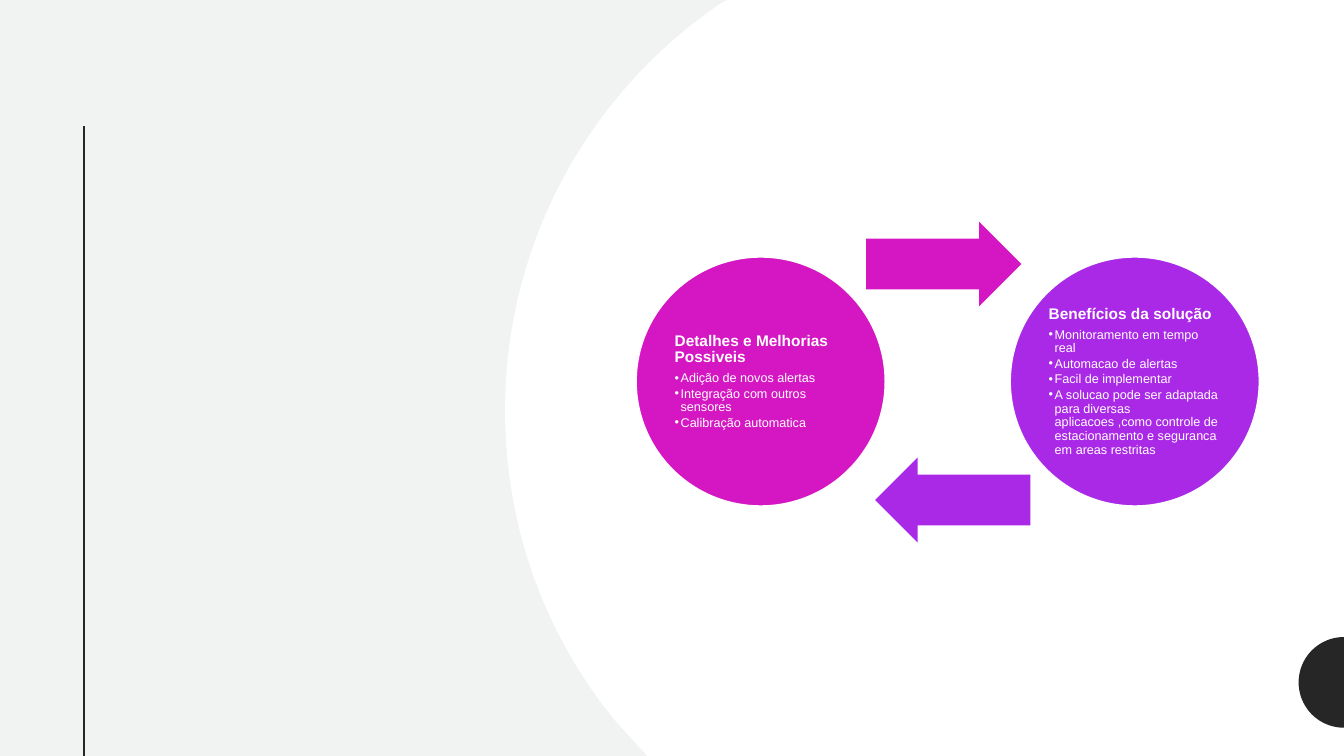
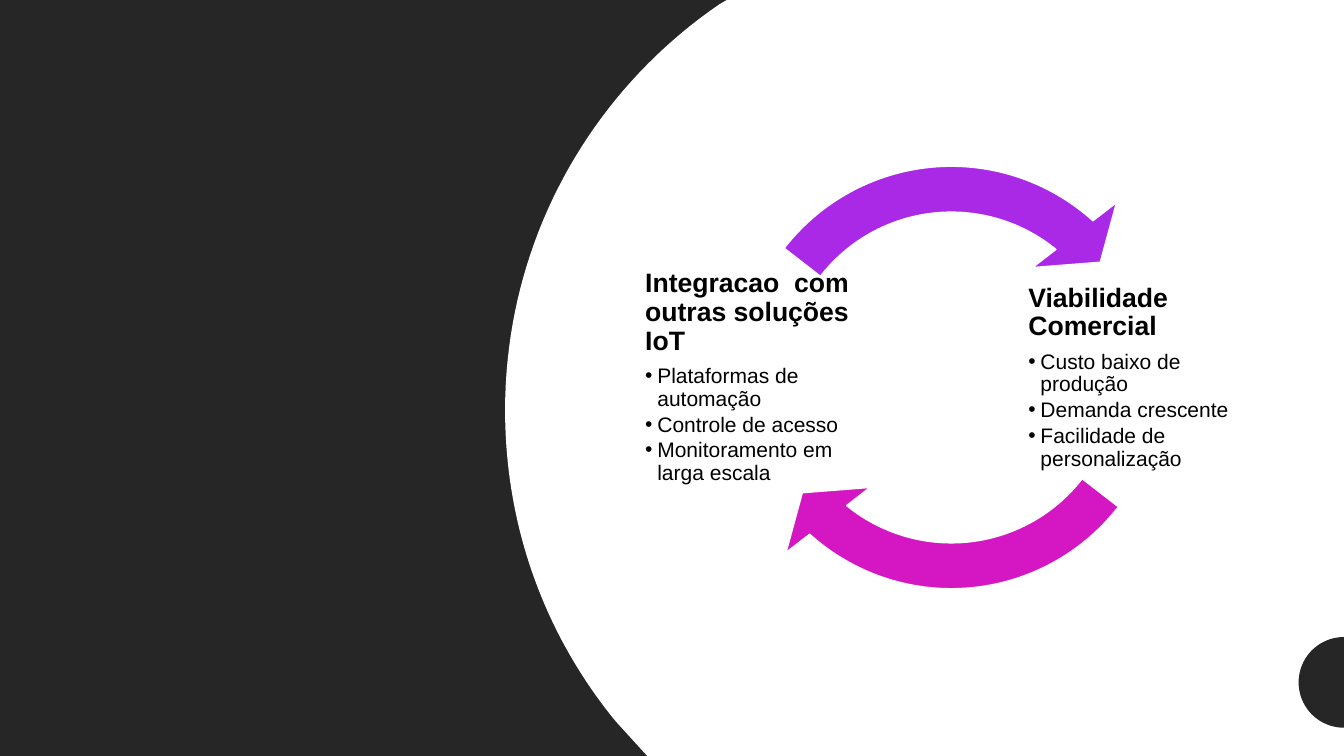
from math import cos, pi, sin

from lxml.etree import SubElement
from pptx import Presentation
from pptx.dml.color import RGBColor
from pptx.enum.shapes import MSO_CONNECTOR as Connector, MSO_SHAPE as Preset
from pptx.enum.text import MSO_ANCHOR as Anchor, PP_ALIGN as Align
from pptx.oxml.ns import qn
from pptx.util import Inches, Pt

WIDTH, HEIGHT = 13.33, 7.5
FONT = "Arial"
DARK, PALE, WHITE, BLACK = "262626", "F0F3F2", "FFFFFF", "000000"
MAGENTA, PURPLE = "D517C3", "AA29E7"

# Left rim of the white area, as cubic curves: start, two handles, end
RIM_CURVES = [
    ((6.11, 7.16), (5.42, 6.32), (5.01, 5.25), (5.01, 4.07)),
    ((5.01, 4.07), (5.01, 2.4), (5.85, 0.92), (7.14, 0.04)),
]
TAB_CENTRE_Y, TAB_RADIUS = 6.77, 0.45

IMPROVEMENTS = ("Detalhes e Melhorias Possiveis", [
    "Adição de novos alertas",
    "Integração com outros sensores",
    "Calibração automatica",
])
BENEFITS = ("Benefícios da solução", [
    "Monitoramento em tempo real",
    "Automacao de alertas",
    "Facil de implementar",
    "A solucao pode ser adaptada para diversas aplicacoes ,como controle de "
    "estacionamento e seguranca em areas restritas",
])
INTEGRATION = ("Integracao  com outras soluções IoT", [
    "Plataformas de automação",
    "Controle de acesso",
    "Monitoramento em larga escala",
])
VIABILITY = ("Viabilidade Comercial", [
    "Custo baixo de produção",
    "Demanda crescente",
    "Facilidade de personalização",
])

# Circle left, colour, text; arrow left, top, rotation
CIRCLE_STEPS = [
    (6.31, MAGENTA, IMPROVEMENTS, 8.59, 2.2, 0),
    (10.02, PURPLE, BENEFITS, 8.68, 4.54, 180),
]
# Text left, text; arrow colour, half turns of the arrow
CYCLE_STEPS = [
    (10.17, VIABILITY, MAGENTA, 0),
    (6.37, INTEGRATION, PURPLE, 1),
]
CIRCLE_TEXT = {"sizes": (11, 9), "color": WHITE, "inset": 0.02, "indent": 0.06}
CYCLE_TEXT = {"sizes": (19, 15), "color": BLACK, "inset": 0.03, "indent": 0.12}


def rgb(value):
    return RGBColor.from_string(value)


def paint(shape, fill, line=None):
    shape.shadow.inherit = False
    shape.fill.solid()
    shape.fill.fore_color.rgb = rgb(fill)
    if line:
        shape.line.color.rgb = rgb(line)
        shape.line.width = Pt(1)
    else:
        shape.line.fill.background()


def add_preset(page, preset, bounds, fill, line=None):
    shape = page.shapes.add_shape(preset, *map(Inches, bounds))
    paint(shape, fill, line)
    return shape


def set_adjustments(shape, values):
    for index, value in enumerate(values):
        shape.adjustments[index] = value


def add_outline(page, points, fill):
    start, *others = [(Inches(x), Inches(y)) for x, y in points]
    builder = page.shapes.build_freeform(*start)
    builder.add_line_segments(others, close=True)
    paint(builder.convert_to_shape(), fill)


def curve_points(start, first, second, end, steps=40):
    """Points along a cubic curve."""
    points = []
    for step in range(steps + 1):
        t = step / steps
        weights = ((1 - t) ** 3, 3 * t * (1 - t) ** 2, 3 * t * t * (1 - t), t ** 3)
        points.append(tuple(
            sum(weight * value for weight, value in zip(weights, axis))
            for axis in zip(start, first, second, end)))
    return points


def add_side_line(page):
    line = page.shapes.add_connector(
        Connector.STRAIGHT, Inches(0.83), Inches(1.25), Inches(0.83), Inches(HEIGHT))
    line.line.color.rgb = rgb(DARK)
    line.line.width = Pt(1.5)
    SubElement(line._element.spPr, qn("a:effectLst"))


def add_page(deck, background):
    """Add a page with the side line, the white area and the half-round tab."""
    page = deck.slides.add_slide(deck.slide_layouts[6])
    page.background.fill.solid()
    page.background.fill.fore_color.rgb = rgb(background)
    add_side_line(page)
    rim = [point for curve in RIM_CURVES for point in curve_points(*curve)]
    corners = [(7.21, 0), (WIDTH, 0), (WIDTH, HEIGHT), (6.42, HEIGHT)]
    add_outline(page, corners + rim, WHITE)
    angles = [pi / 2 + pi * step / 40 for step in range(41)]
    tab = [(WIDTH + TAB_RADIUS * cos(angle), TAB_CENTRE_Y + TAB_RADIUS * sin(angle))
           for angle in angles]
    add_outline(page, tab, DARK)
    return page


def add_bullet(para, indent):
    para.level = 1
    properties = para._p.get_or_add_pPr()
    properties.set("marL", str(Inches(indent)))
    properties.set("indent", str(-Inches(indent)))
    SubElement(properties, qn("a:buFont")).set("typeface", FONT)
    SubElement(properties, qn("a:buChar")).set("char", "•")


def write_text(box, content, sizes, color, inset, indent):
    """Write a bold heading and its bullets into a shape."""
    heading, bullets = content
    frame = box.text_frame
    frame.word_wrap = True
    frame.vertical_anchor = Anchor.MIDDLE
    frame.margin_left = frame.margin_right = Inches(inset)
    frame.margin_top = frame.margin_bottom = Inches(inset)
    for index, text in enumerate([heading, *bullets]):
        is_heading = index == 0
        size = sizes[0] if is_heading else sizes[1]
        para = frame.paragraphs[0] if is_heading else frame.add_paragraph()
        para.alignment = Align.LEFT
        para.line_spacing = 0.9
        para.space_after = Pt(size * (0.35 if is_heading else 0.15))
        if not is_heading:
            add_bullet(para, indent)
        span = para.add_run()
        span.text = text
        span.font.name = FONT
        span.font.size = Pt(size)
        span.font.bold = is_heading
        span.font.color.rgb = rgb(color)


def build_circles(deck):
    page = add_page(deck, PALE)
    for left, color, content, arrow_left, arrow_top, rotation in CIRCLE_STEPS:
        circle = add_preset(page, Preset.OVAL, (left, 2.55, 2.47, 2.47), color, WHITE)
        write_text(circle, content, **CIRCLE_TEXT)
        arrow = add_preset(
            page, Preset.RIGHT_ARROW, (arrow_left, arrow_top, 1.54, 0.84), color)
        set_adjustments(arrow, (0.6, 0.5))
        arrow.rotation = rotation


def build_cycle(deck):
    page = add_page(deck, DARK)
    half_turn = 108  # 180 degrees in adjustment units
    for left, content, color, turns in CYCLE_STEPS:
        box = page.shapes.add_textbox(*map(Inches, (left, 2.58, 2.33, 2.33)))
        write_text(box, content, **CYCLE_TEXT)
        arrow = add_preset(
            page, Preset.CIRCULAR_ARROW, (7.04, 1.35, 4.79, 4.79), color, WHITE)
        turn = turns * half_turn
        set_adjustments(arrow, (0.095, 6.85, 78.51 + turn, 22.64 + turn, 0.11))


def main():
    deck = Presentation()
    deck.slide_width, deck.slide_height = Inches(WIDTH), Inches(HEIGHT)
    build_circles(deck)
    build_cycle(deck)
    deck.save("out.pptx")


if __name__ == "__main__":
    main()
